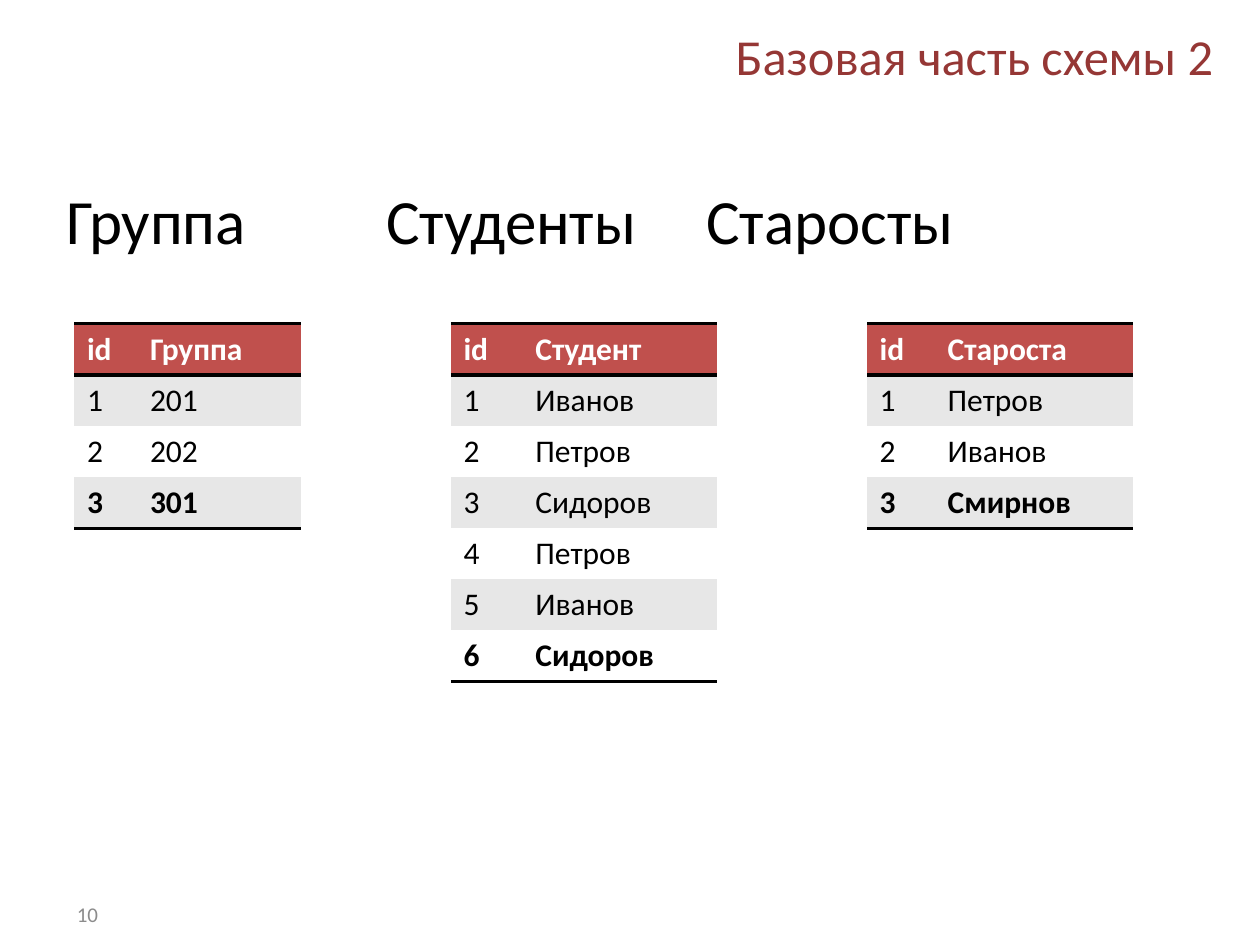
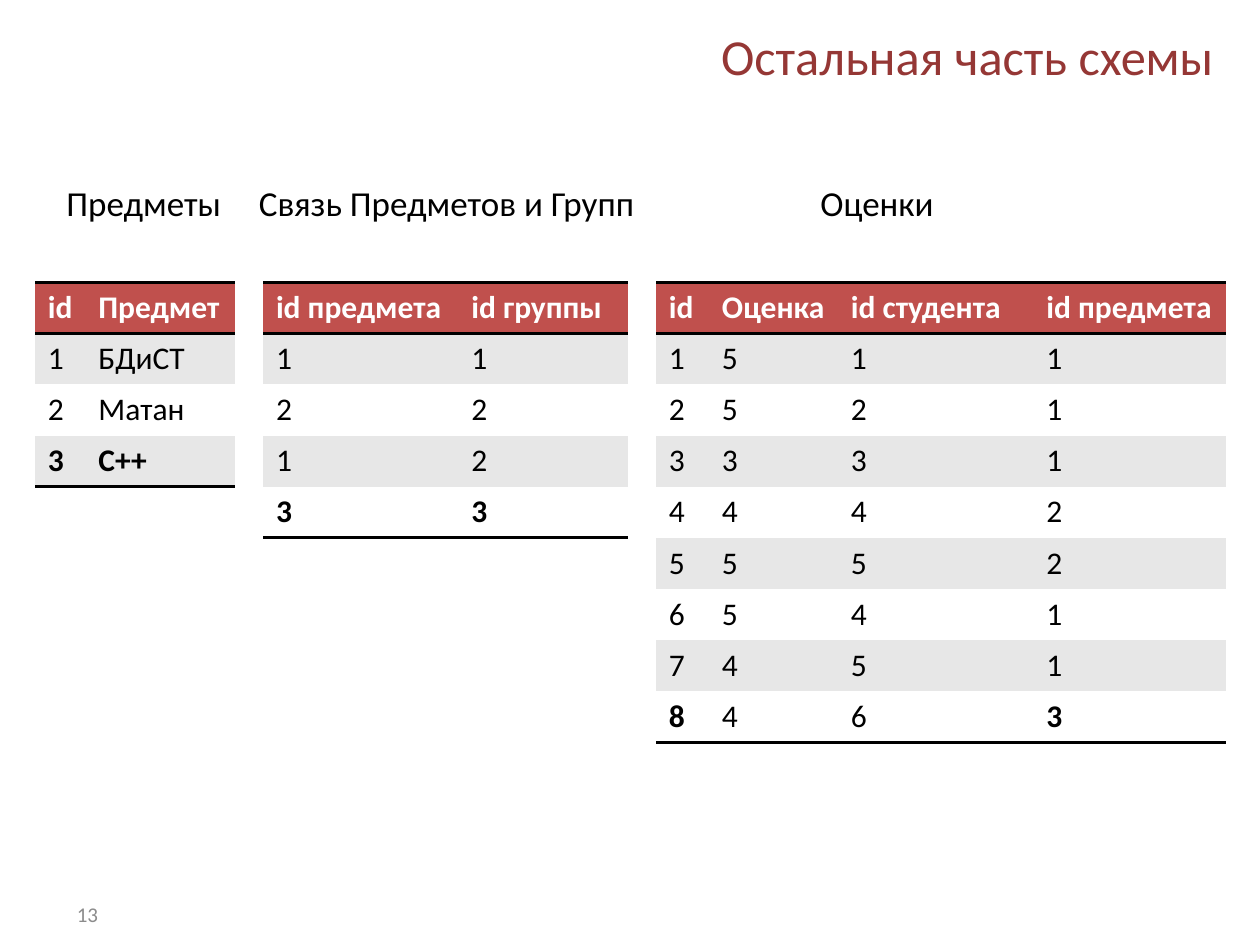
import pptx
import pptx.util
import pptx.dml.color
import pptx.enum.text
import pptx.oxml
import pptx.oxml.ns
from lxml import etree

Cm, Pt = pptx.util.Cm, pptx.util.Pt
RGBColor = pptx.dml.color.RGBColor
PP_ALIGN = pptx.enum.text.PP_ALIGN
MSO_ANCHOR = pptx.enum.text.MSO_ANCHOR
qn = pptx.oxml.ns.qn

# Shared style
FONT = "Calibri"
TITLE_RED = RGBColor(0x95, 0x37, 0x35)
HEADER_RED = RGBColor(0xC0, 0x50, 0x4D)
BAND_GREY = RGBColor(0xE7, 0xE7, 0xE7)
NUMBER_GREY = RGBColor(0x8C, 0x8C, 0x8C)
WHITE = RGBColor(0xFF, 0xFF, 0xFF)
BLACK = RGBColor(0, 0, 0)
NO_STYLE = "{2D5ABB26-0587-4C30-8999-92F81FD0307C}"
ROW_HEIGHT = 1.03

# Shared boxes: left, top, width, height in cm
TITLE_BOX = (6.71, 0.53, 18.01, 1.17)
HEADINGS_BOX = (1.09, 3.53, 23.06, 12.57)
NUMBER_BOX = (1.3, 17.91, 5.92, 1.02)


def format_text(tf, size, color, bold=False, align=PP_ALIGN.LEFT):
    for p in tf.paragraphs:
        p.alignment = align
        for r in p.runs:
            r.font.name = FONT
            r.font.size = Pt(size)
            r.font.bold = bold
            r.font.color.rgb = color


def add_text(s, box, text, size, color, anchor):
    tf = s.shapes.add_textbox(*map(Cm, box)).text_frame
    tf.word_wrap = True
    tf.vertical_anchor = anchor
    tf.text = text
    format_text(tf, size, color)
    return tf


def add_title(s, box, text):
    sp = s.shapes.title
    sp.left, sp.top, sp.width, sp.height = map(Cm, box)
    tf = sp.text_frame
    tf.text = text
    tf.word_wrap = True
    tf.auto_size = pptx.enum.text.MSO_AUTO_SIZE.NONE
    tf.vertical_anchor = MSO_ANCHOR.MIDDLE
    format_text(tf, 28.8, TITLE_RED, align=PP_ALIGN.RIGHT)


def add_headings(s, box, headings, size, tab_stops):
    """One line of table headings, set apart by tab stops."""
    tf = add_text(s, box, "\t".join(headings), size, BLACK, MSO_ANCHOR.TOP)
    pPr = tf.paragraphs[0]._p.get_or_add_pPr()
    tabs = etree.SubElement(pPr, qn("a:tabLst"))
    for stop in tab_stops:
        etree.SubElement(tabs, qn("a:tab"), pos=str(Cm(stop)), algn="l")


def add_border(cell, side):
    tcPr = cell._tc.get_or_add_tcPr()
    ln = etree.SubElement(tcPr, qn(f"a:{side}"), w=str(Pt(2)))
    fill = etree.SubElement(ln, qn("a:solidFill"))
    etree.SubElement(fill, qn("a:srgbClr"), val=str(BLACK))


def add_data_table(s, left, top, widths, rows, bold_last=None):
    """Banded table; bold_last lists the bold columns of the last row (default all)."""
    frame = s.shapes.add_table(len(rows), len(widths), Cm(left), Cm(top),
                               Cm(sum(widths)), Cm(ROW_HEIGHT * len(rows)))
    frame.element.find(".//" + qn("a:tableStyleId")).text = NO_STYLE
    table = frame.table
    table.first_row = table.horz_banding = False
    for column, width in zip(table.columns, widths):
        column.width = Cm(width)
    if bold_last is None:
        bold_last = range(len(widths))

    last = len(rows) - 1
    for i, row in enumerate(rows):
        table.rows[i].height = Cm(ROW_HEIGHT)
        for j, value in enumerate(row):
            cell = table.cell(i, j)
            cell.text = value
            bold = i == 0 or (i == last and j in bold_last)
            format_text(cell.text_frame, 18, BLACK if i else WHITE, bold)
            # Borders come before the fill in the cell properties
            if i == 0:
                add_border(cell, "lnT")
            if i in (0, last):
                add_border(cell, "lnB")
            cell.fill.solid()
            band = BAND_GREY if i % 2 else WHITE
            cell.fill.fore_color.rgb = band if i else HEADER_RED


def add_schema_slide(prs, title, number, headings, size, tab_stops, top, tables):
    s = prs.slides.add_slide(prs.slide_layouts[5])
    add_title(s, TITLE_BOX, title)
    add_headings(s, HEADINGS_BOX, headings, size, tab_stops)
    add_text(s, NUMBER_BOX, number, 12, NUMBER_GREY, MSO_ANCHOR.MIDDLE)
    for left, widths, rows, *bold_last in tables:
        add_data_table(s, left, top, widths, rows, *bold_last)


def numbered(header, names):
    """Rows of an id and name table, with ids counted from 1."""
    return [("id", header)] + [(str(i), name) for i, name in enumerate(names, 1)]


# Table contents
GROUPS = numbered("Группа", ["201", "202", "301"])
STUDENTS = numbered("Студент", ["Иванов", "Петров", "Сидоров"]
                    + ["Петров", "Иванов", "Сидоров"])
LEADERS = numbered("Староста", ["Петров", "Иванов", "Смирнов"])
SUBJECTS = numbered("Предмет", ["БДиСТ", "Матан", "С++"])
SUBJECT_GROUPS = [("id предмета", "id группы"), *("11", "22", "12", "33")]
GRADES = [("id", "Оценка", "id студента", "id предмета"),
          *("1511", "2521", "3331", "4442", "5552", "6541", "7451", "8463")]


def main():
    prs = pptx.Presentation()
    prs.slide_width, prs.slide_height = Cm(25.4), Cm(19.05)

    # Groups, students and group leaders
    add_schema_slide(
        prs, "Базовая часть схемы 2", "10",
        ["Группа", "Студенты", "Старосты"], 36, [6.45, 12.9], 6.53,
        [(1.5, [1.27, 3.3], GROUPS),
         (9.09, [1.45, 3.91], STUDENTS),
         (17.48, [1.37, 3.99], LEADERS)])

    # Subjects, their groups and grades
    add_schema_slide(
        prs, "Остальная часть схемы", "13",
        ["Предметы", "Связь Предметов и Групп", "Оценки"], 20, [3.88, 15.2], 5.69,
        [(0.71, [1.02, 3], SUBJECTS),
         (5.31, [3.94, 3.4], SUBJECT_GROUPS),
         (13.23, [1.07, 2.6, 3.94, 3.87], GRADES, (0, 3))])

    prs.save("out.pptx")


if __name__ == "__main__":
    main()
